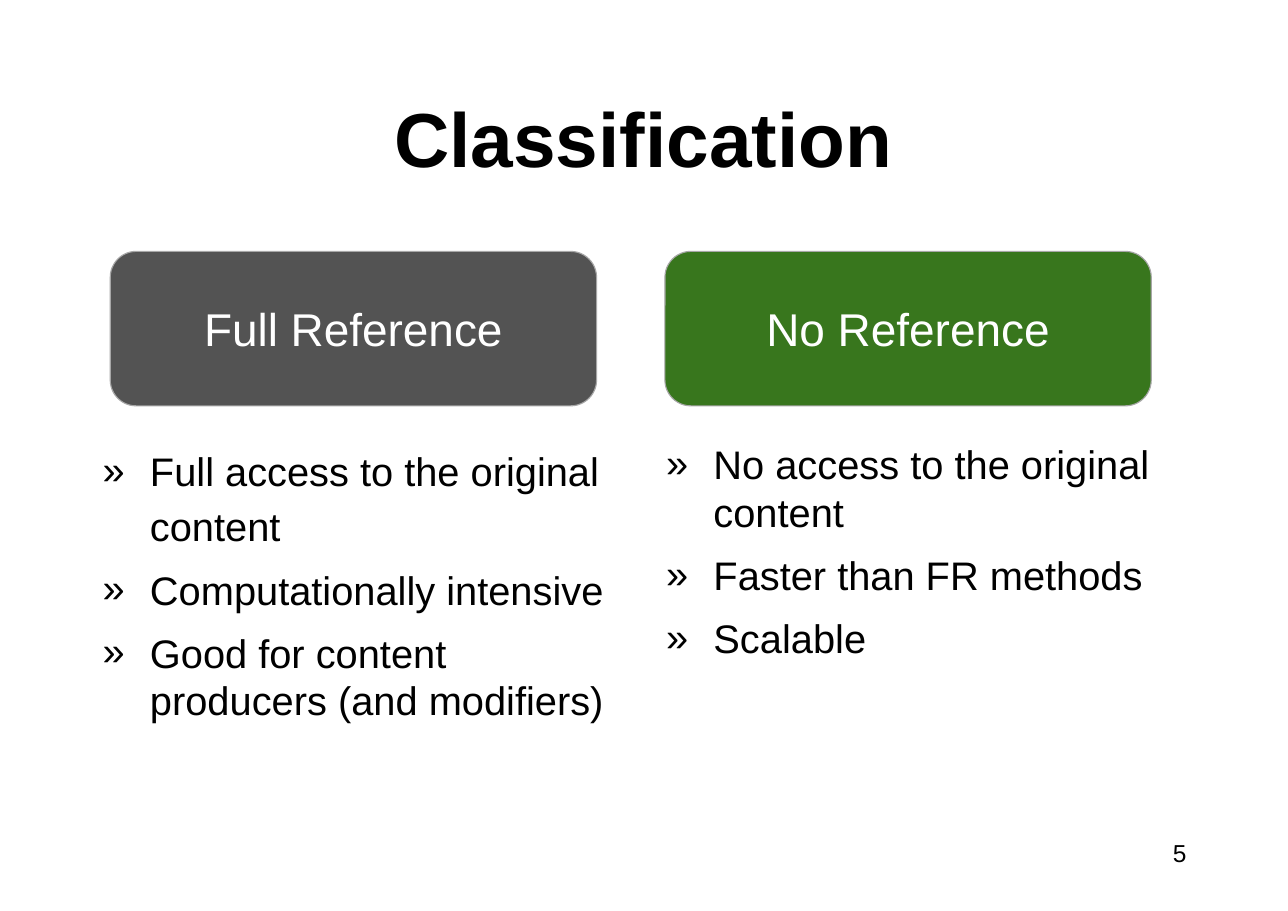
from lxml.etree import SubElement
from pptx import Presentation
from pptx.dml.color import RGBColor as RGB
from pptx.enum.shapes import MSO_SHAPE as SHAPE
from pptx.enum.text import MSO_ANCHOR as ANCHOR, MSO_AUTO_SIZE as AUTO, PP_ALIGN as ALIGN
from pptx.oxml.ns import qn
from pptx.util import Inches, Pt

COLORS = {"text": "000000", "white": "FFFFFF", "gray": "535353",
          "green": "38761D", "border": "A7A7A7"}
COLUMNS = [
    ("Full Reference", "gray", 0.8, 1.15,
     ["Full access to the original content", "Computationally intensive",
      "Good for content producers (and modifiers)"]),
    ("No Reference", "green", 5.91, 1.0,
     ["No access to the original content", "Faster than FR methods", "Scalable"]),
]
CARD_LEFT, CARD_STEP = 1, 5.03


def set_frame(tf, inset, anchor):
    tf.word_wrap = True
    tf.auto_size = AUTO.NONE
    tf.vertical_anchor = anchor
    tf.margin_left = tf.margin_right = tf.margin_top = tf.margin_bottom = Inches(inset)


def set_text(p, text, size, color, align, bold=False):
    p.text = text
    p.alignment = align
    f = p.runs[0].font
    f.name, f.size, f.bold = "Arial", Pt(size), bold
    f.color.rgb = RGB.from_string(COLORS[color])


prs = Presentation()
prs.slide_width, prs.slide_height = Inches(11.68), Inches(8.26)
s = prs.slides.add_slide(prs.slide_layouts[5])

title = s.shapes.title
title.left, title.top, title.width, title.height = map(Inches, (0.8, 0.44, 10.07, 1.6))
set_frame(title.text_frame, 0.06, ANCHOR.MIDDLE)
set_text(title.text_frame.paragraphs[0], "Classification", 50, "text", ALIGN.CENTER, True)

for col, (heading, fill, list_left, first_spacing, points) in enumerate(COLUMNS):
    card = s.shapes.add_shape(SHAPE.ROUNDED_RECTANGLE, Inches(CARD_LEFT + col * CARD_STEP),
                              Inches(2.28), Inches(4.41), Inches(1.4))
    card.adjustments[0] = 0.167
    card.shadow.inherit = False
    card.fill.solid()
    card.fill.fore_color.rgb = RGB.from_string(COLORS[fill])
    card.line.color.rgb = RGB.from_string(COLORS["border"])
    card.line.width = Pt(0.75)
    set_frame(card.text_frame, 0.1, ANCHOR.MIDDLE)
    set_text(card.text_frame.paragraphs[0], heading, 30, "white", ALIGN.CENTER)

    box = s.shapes.add_textbox(Inches(list_left), Inches(3.93), Inches(4.95), Inches(3.53))
    tf = box.text_frame
    set_frame(tf, 0.06, ANCHOR.TOP)
    for i, point in enumerate(points):
        p = tf.add_paragraph() if i else tf.paragraphs[0]
        pPr = p._p.get_or_add_pPr()
        pPr.set("marL", str(Inches(0.5)))
        pPr.set("indent", str(Inches(-0.43)))
        SubElement(SubElement(pPr, qn("a:buClr")), qn("a:srgbClr"), val=COLORS["text"])
        SubElement(pPr, qn("a:buFont"), typeface="Arial")
        SubElement(pPr, qn("a:buChar"), char="»")
        set_text(p, point, 26, "text", ALIGN.LEFT)
        p.line_spacing = 1.0 if i else first_spacing
        p.space_before = Pt(10 if i else 0)

number = s.shapes.add_textbox(Inches(10.44), Inches(7.54), Inches(0.38), Inches(0.36))
set_frame(number.text_frame, 0.06, ANCHOR.TOP)
set_text(number.text_frame.paragraphs[0], "5", 16, "text", ALIGN.RIGHT)

prs.save("out.pptx")
